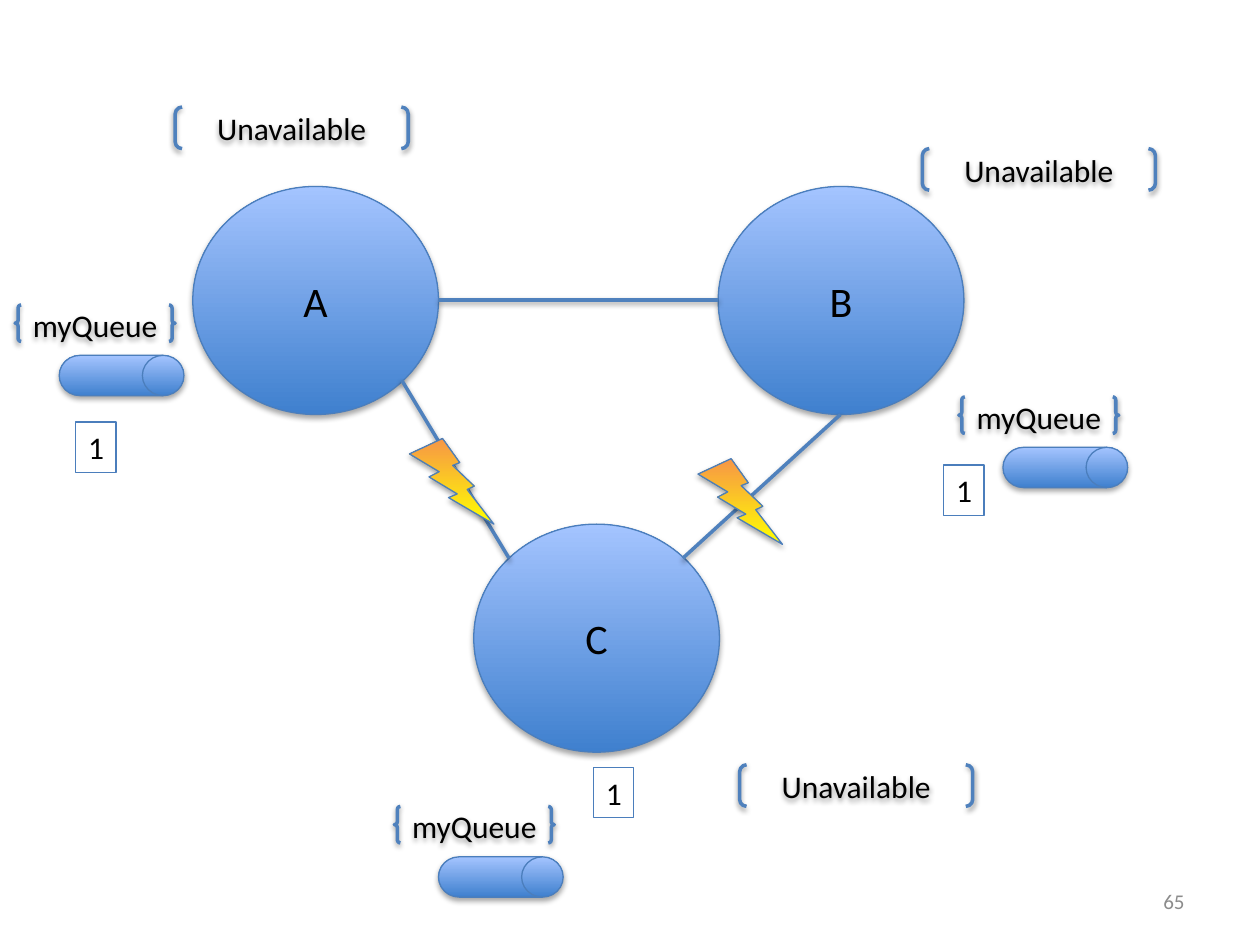
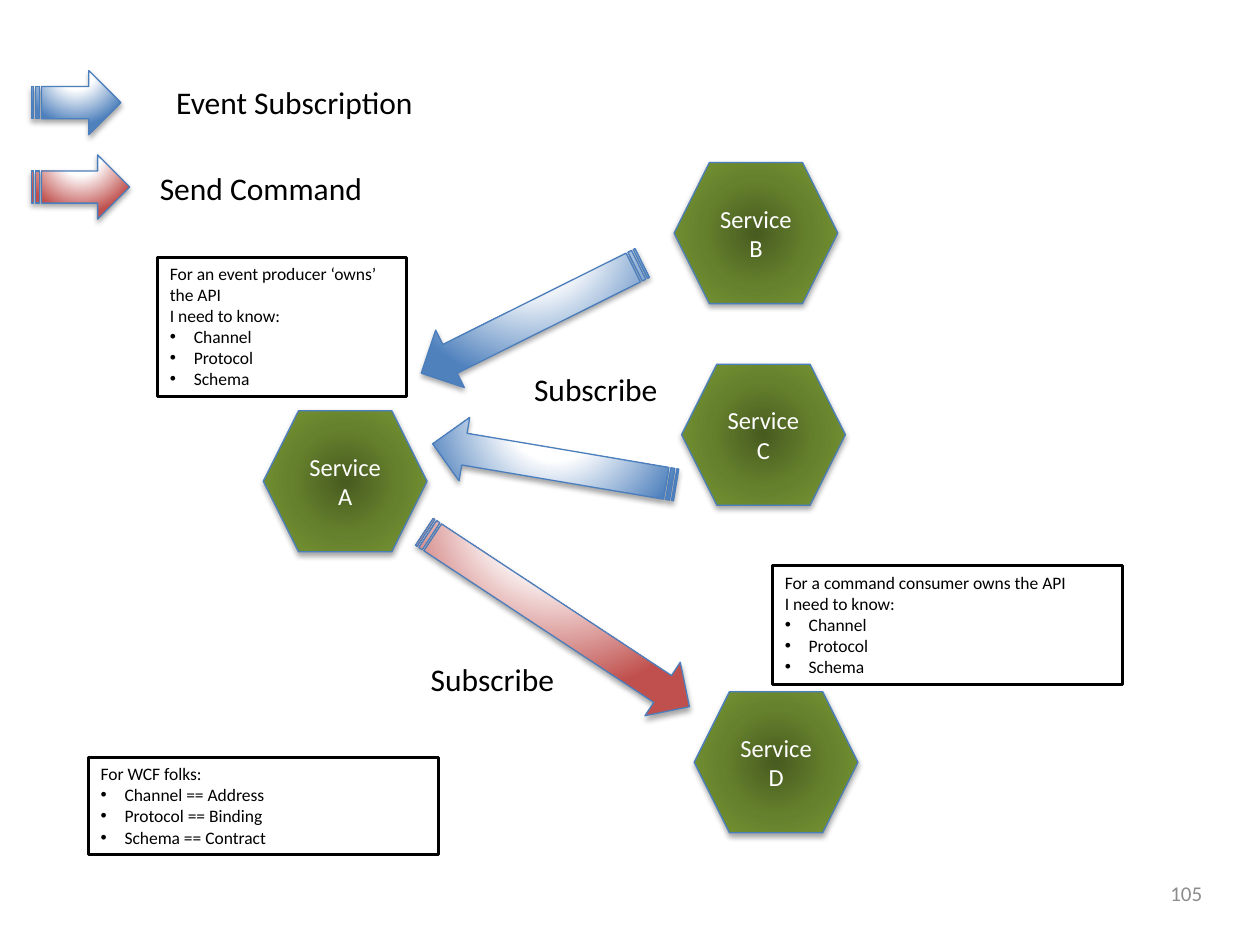
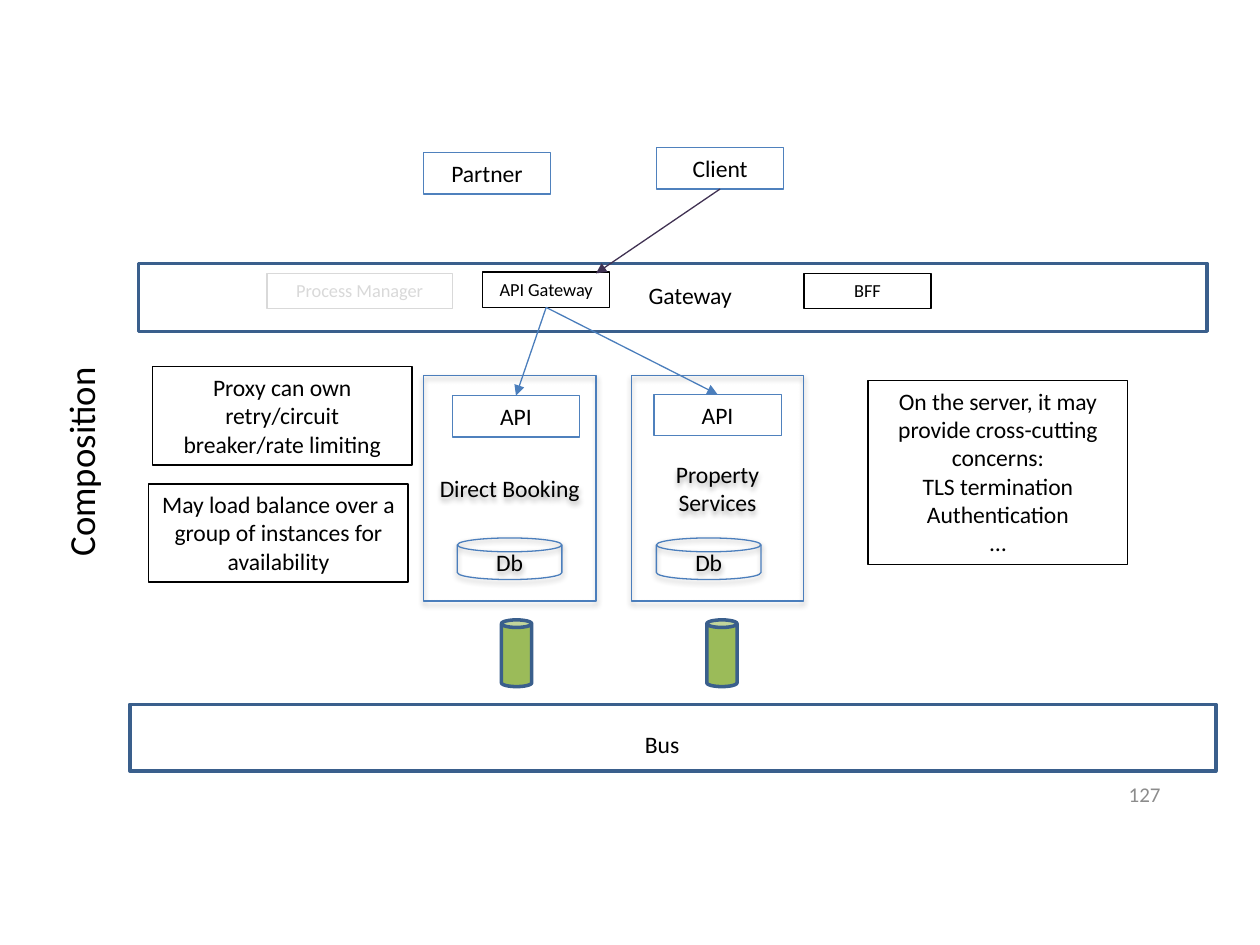
"""Builds three diagram slides on queues, service contracts and gateways."""
import dataclasses
import typing

import lxml.etree as etree
import pptx
import pptx.dml.color
import pptx.enum.shapes
import pptx.enum.text
import pptx.oxml.ns
import pptx.util

MSO = pptx.enum.shapes.MSO_SHAPE
ALIGN = pptx.enum.text.PP_ALIGN
ANCHOR = pptx.enum.text.MSO_ANCHOR
qn = pptx.oxml.ns.qn
EMU_PER_PX = 9144


@dataclasses.dataclass(frozen=True)
class Theme:
    """Colours, font and type sizes of the deck."""
    font: str = "Calibri"
    black: str = "000000"
    white: str = "FFFFFF"
    grey: str = "8C8C8C"
    faint: str = "D9D9D9"
    blue: str = "4F81BD"
    edge: str = "4B7EBC"
    navy: str = "3A5F8C"
    red: str = "C0504D"
    green: str = "9BBB59"
    violet: str = "403152"
    note: float = 10
    tag: float = 10.5
    number: float = 12
    block: float = 13.5
    service: float = 14
    label: float = 18
    side: float = 21
    node: float = 24


T = Theme()


@dataclasses.dataclass(frozen=True)
class Gradient:
    """Stops in percent, with a circular focus or else an upward run."""
    stops: tuple[tuple[int, str], ...]
    focus: tuple[int, int, int, int] | None = None


@dataclasses.dataclass(frozen=True)
class Shadow:
    """A soft black shadow below a shape."""
    alpha: int
    dist: int


@dataclasses.dataclass(frozen=True)
class Look:
    """Fill, outline and shadow of a shape."""
    fill: Gradient | str | None = None
    line: str = T.edge
    width: float = 0.75
    shadow: Shadow | None = None


class Box(typing.NamedTuple):
    """Left, top, width and height in px."""
    x: int
    y: int
    w: int
    h: int


class Point(typing.NamedTuple):
    """A place on the slide in px."""
    x: int
    y: int


class Note(typing.NamedTuple):
    """A framed note with an introduction and a bullet list."""
    box: Box
    intro: str
    bullets: tuple[str, ...]


class StripedArrow(typing.NamedTuple):
    """A striped arrow with its angle and look."""
    box: Box
    angle: float
    look: Look


class Service(typing.NamedTuple):
    """A service block with its API box and stores."""
    name: str
    frame: Box
    api: Box
    db: Box
    queue: Box


def beam(color: str) -> Gradient:
    """Return the white-to-colour gradient of a striped arrow."""
    return Gradient(((0, T.white), (35, T.white), (100, color)), (50, -80, 50, 180))


SOFT = Shadow(35, 23000)
STROKE = Shadow(38, 20000)
NODE = Look(Gradient(((0, "3F80CE"), (100, "A4C4FF"))), shadow=SOFT)
BOLT = Look(Gradient(((0, "FFFF00"), (100, "F79646"))), shadow=SOFT)
HEXAGON = Look(Gradient(((0, "485B20"), (50, "66812D"), (100, "799936")),
                        (50, 50, 50, 50)), shadow=SOFT)
EVENT = Look(beam(T.blue), shadow=SOFT)
COMMAND = Look(beam(T.red), shadow=SOFT)
PAIR = Look(line=T.blue, width=2, shadow=STROKE)
COUNT = Look()
BLOCK = Look(shadow=SOFT)
PLATE = Look(line=T.blue)
BAND = Look(line=T.navy, width=2)
CAN = Look(T.green, T.navy, 2)
FRAME = Look(line=T.black)
FAINT = Look(line=T.faint)
HEAVY = Look(line=T.black, width=1.75)


def px(n: int) -> pptx.util.Emu:
    """Convert px to EMU."""
    return pptx.util.Emu(n * EMU_PER_PX)


def rgb(color: str) -> pptx.dml.color.RGBColor:
    """Return the colour of a hex string."""
    return pptx.dml.color.RGBColor.from_string(color)


def node(parent, tag: str, **attrs):
    """Append a DrawingML element and return it."""
    return etree.SubElement(parent, qn(f"a:{tag}"),
                            {k: str(v) for k, v in attrs.items()})


def paint_gradient(sp, gradient: Gradient) -> None:
    """Fill a shape with a gradient."""
    sp.fill.gradient()
    grad = sp._element.spPr.find(qn("a:gradFill"))
    for child in list(grad):
        grad.remove(child)
    stops = node(grad, "gsLst")
    for pos, color in gradient.stops:
        node(node(stops, "gs", pos=pos * 1000), "srgbClr", val=color)
    if gradient.focus is None:
        node(grad, "lin", ang=270 * 60000, scaled=0)
    else:
        sides = {k: v * 1000 for k, v in zip("ltrb", gradient.focus)}
        node(node(grad, "path", path="circle"), "fillToRect", **sides)


def cast(sp, shadow: Shadow | None) -> None:
    """Replace the theme's effects by the given shadow or by none."""
    effects = node(sp._element.spPr, "effectLst")
    if shadow:
        outer = node(effects, "outerShdw", blurRad=40000, dist=shadow.dist,
                     dir=90 * 60000, rotWithShape=0)
        node(node(outer, "srgbClr", val=T.black), "alpha", val=shadow.alpha * 1000)


def stroke(line, color: str, width: float) -> None:
    """Set a line's colour and width."""
    line.color.rgb = rgb(color)
    line.width = pptx.util.Pt(width)


def write(sp, text: str, *, size: float = T.label, color: str = T.black,
          align=ALIGN.CENTER, anchor=ANCHOR.MIDDLE, wrap: bool = True,
          bullets: typing.Sequence[str] = ()) -> None:
    """Write lines of text and then bullets into a shape."""
    tf = sp.text_frame
    tf.word_wrap = wrap
    tf.vertical_anchor = anchor
    if anchor == ANCHOR.TOP:
        tf.auto_size = pptx.enum.text.MSO_AUTO_SIZE.SHAPE_TO_FIT_TEXT
    lines = text.split("\n")
    for i, content in enumerate([*lines, *bullets]):
        p = tf.add_paragraph() if i else tf.paragraphs[0]
        p.alignment = align
        if i >= len(lines):
            pPr = p._p.get_or_add_pPr()
            pPr.set("marL", str(px(19)))
            pPr.set("indent", str(px(-19)))
            node(pPr, "buFont", typeface="Arial")
            node(pPr, "buChar", char="•")
        r = p.add_run()
        r.text = content
        r.font.name = T.font
        r.font.size = pptx.util.Pt(size)
        r.font.color.rgb = rgb(color)


def draw(s, kind, box: Box, look: Look, text: str = "", angle: float = 0, **fmt):
    """Draw a preset shape, with text if there is any."""
    sp = s.shapes.add_shape(kind, *map(px, box))
    sp.rotation = angle
    if isinstance(look.fill, Gradient):
        paint_gradient(sp, look.fill)
    elif look.fill:
        sp.fill.solid()
        sp.fill.fore_color.rgb = rgb(look.fill)
    else:
        sp.fill.background()
    stroke(sp.line, look.line, look.width)
    cast(sp, look.shadow)
    if text:
        write(sp, text, **fmt)
    return sp


def label(s, box: Box, text: str, angle: float = 0, **fmt) -> None:
    """Place a text box."""
    sp = s.shapes.add_textbox(*map(px, box))
    sp.rotation = angle
    write(sp, text, **{"anchor": ANCHOR.TOP, "align": ALIGN.LEFT, **fmt})


def page_number(s, box: Box, number: int) -> None:
    """Place the page number."""
    label(s, box, str(number), size=T.number, color=T.grey,
          align=ALIGN.RIGHT, anchor=ANCHOR.MIDDLE)


def connect(s, start: Point, end: Point, look: Look, head: bool = False):
    """Draw a straight connector, with an arrowhead if asked."""
    c = s.shapes.add_connector(pptx.enum.shapes.MSO_CONNECTOR.STRAIGHT,
                               *map(px, (*start, *end)))
    stroke(c.line, look.line, look.width)
    if head:
        node(c.line._get_or_add_ln(), "tailEnd", type="triangle")
    cast(c, look.shadow)
    return c


def build_partition(s) -> None:
    """Draw three queue nodes with broken links to the third."""
    page_number(s, Box(717, 695, 233, 40), 65)
    for name, x, y in (("A", 153, 148), ("B", 570, 148), ("C", 376, 416)):
        draw(s, MSO.OVAL, Box(x, y, 195, 181), NODE, name, size=T.node)
    for x, y in ((587, 607), (139, 85), (732, 118)):
        draw(s, MSO.DOUBLE_BRACKET, Box(x, y, 185, 33), PAIR, "Unavailable")
    for x, y in ((12, 242), (313, 640), (761, 315)):
        draw(s, MSO.FLOWCHART_DIRECT_ACCESS_STORAGE, Box(x + 35, y + 40, 99, 32), NODE)
        draw(s, MSO.DOUBLE_BRACE, Box(x, y, 127, 29), PAIR, "myQueue")
    for start, end in ((Point(404, 443), Point(319, 302)),
                       (Point(542, 443), Point(667, 329)),
                       (Point(348, 238), Point(570, 238))):
        connect(s, start, end, PAIR)
    for x, y in ((60, 335), (749, 369), (471, 609)):
        draw(s, MSO.RECTANGLE, Box(x, y, 32, 40), COUNT, "1",
             align=ALIGN.LEFT, anchor=ANCHOR.TOP)
    for x, y in ((554, 364), (325, 348)):
        draw(s, MSO.LIGHTNING_BOLT, Box(x, y, 67, 68), BOLT)


def build_contracts(s) -> None:
    """Draw services that exchange events and commands."""
    page_number(s, Box(731, 689, 233, 40), 105)
    for name, x, y in (("A", 209, 326), ("B", 535, 129),
                       ("C", 541, 289), ("D", 551, 549)):
        draw(s, MSO.HEXAGON, Box(x, y, 130, 112), HEXAGON, f"Service {name}",
             size=T.service, color=T.white)
    for arrow in (StripedArrow(Box(324, 227, 196, 51), 153.5, EVENT),
                  StripedArrow(Box(342, 343, 196, 51), 189.6, EVENT),
                  StripedArrow(Box(316, 466, 252, 51), 33.4, COMMAND),
                  StripedArrow(Box(25, 56, 71, 51), 0, EVENT),
                  StripedArrow(Box(25, 123, 78, 51), 0, COMMAND)):
        draw(s, MSO.STRIPED_RIGHT_ARROW, arrow.box, arrow.look, angle=arrow.angle)
    for text, x, y, w in (("Subscribe", 414, 289, 121), ("Subscribe", 332, 519, 121),
                          ("Event Subscription", 130, 61, 217),
                          ("Send Command", 117, 129, 217)):
        label(s, Box(x, y, w, 40), text)
    needs = ("Channel", "Protocol", "Schema")
    for note in (
            Note(Box(125, 204, 198, 111),
                 "For an event producer ‘owns’ the API\nI need to know:", needs),
            Note(Box(613, 449, 278, 94),
                 "For a command consumer owns the API\nI need to know:", needs),
            Note(Box(70, 601, 278, 77), "For WCF folks:",
                 ("Channel == Address", "Protocol == Binding", "Schema == Contract"))):
        draw(s, MSO.RECTANGLE, note.box, HEAVY, note.intro, bullets=note.bullets,
             size=T.note, align=ALIGN.LEFT, anchor=ANCHOR.TOP)


def build_gateway(s) -> None:
    """Draw a gateway in front of two services on a bus."""
    def framed(box: Box, look: Look, text: str, **fmt):
        """Draw a rectangle with text from its top."""
        return draw(s, MSO.RECTANGLE, box, look, text,
                    **{"size": T.block, "anchor": ANCHOR.TOP, **fmt})

    page_number(s, Box(706, 615, 225, 30), 127)
    for band in (Box(103, 559, 862, 53), Box(110, 209, 848, 54)):
        draw(s, MSO.RECTANGLE, band, BAND)
    label(s, Box(502, 574, 48, 33), "Bus", size=T.block, wrap=False)
    label(s, Box(505, 218, 87, 33), "Gateway", size=T.block, wrap=False)
    label(s, Box(-89, 344, 306, 45), "Composition", 270, size=T.side, align=ALIGN.CENTER)

    framed(Box(336, 121, 101, 33), PLATE, "Partner")
    client = framed(Box(521, 117, 101, 33), PLATE, "Client")
    gateway = framed(Box(383, 216, 101, 28), FRAME, "API Gateway", size=T.tag)
    framed(Box(638, 217, 101, 28), FRAME, "BFF", size=T.tag)
    framed(Box(212, 217, 147, 28), FAINT, "Process Manager", size=T.tag, color=T.faint)

    for service in (
            Service("Direct Booking", Box(336, 298, 137, 179), Box(359, 314, 101, 33),
                    Box(363, 427, 83, 33), Box(398, 492, 24, 53)),
            Service("Property Services", Box(501, 298, 137, 179), Box(519, 313, 101, 33),
                    Box(521, 427, 83, 33), Box(561, 492, 24, 53))):
        draw(s, MSO.RECTANGLE, service.frame, BLOCK, service.name, size=T.block)
        api = framed(service.api, PLATE, "API")
        draw(s, MSO.FLOWCHART_MAGNETIC_DISK, service.db, BLOCK, "Db", size=T.block)
        draw(s, MSO.CAN, service.queue, CAN)
        call = connect(s, Point(433, 243), Point(service.api.x + 50, service.api.y),
                       COUNT, head=True)
        call.begin_connect(gateway, 2)
        call.end_connect(api, 0)

    request = connect(s, Point(569, 148), Point(473, 217), Look(line=T.violet), head=True)
    request.begin_connect(client, 2)

    framed(Box(121, 291, 206, 78), FRAME,
           "Proxy can own retry/circuit breaker/rate limiting")
    framed(Box(118, 384, 206, 78), FRAME,
           "May load balance over a group of instances for availability")
    framed(Box(689, 302, 206, 146), FRAME,
           "On the server, it may provide cross-cutting concerns:\n"
           "TLS termination\nAuthentication\n…")


def main() -> None:
    """Build the slides and save the deck."""
    prs = pptx.Presentation()
    prs.slide_width, prs.slide_height = px(1000), px(750)
    for build in (build_partition, build_contracts, build_gateway):
        build(prs.slides.add_slide(prs.slide_layouts[6]))
    prs.save("out.pptx")


if __name__ == "__main__":
    main()
